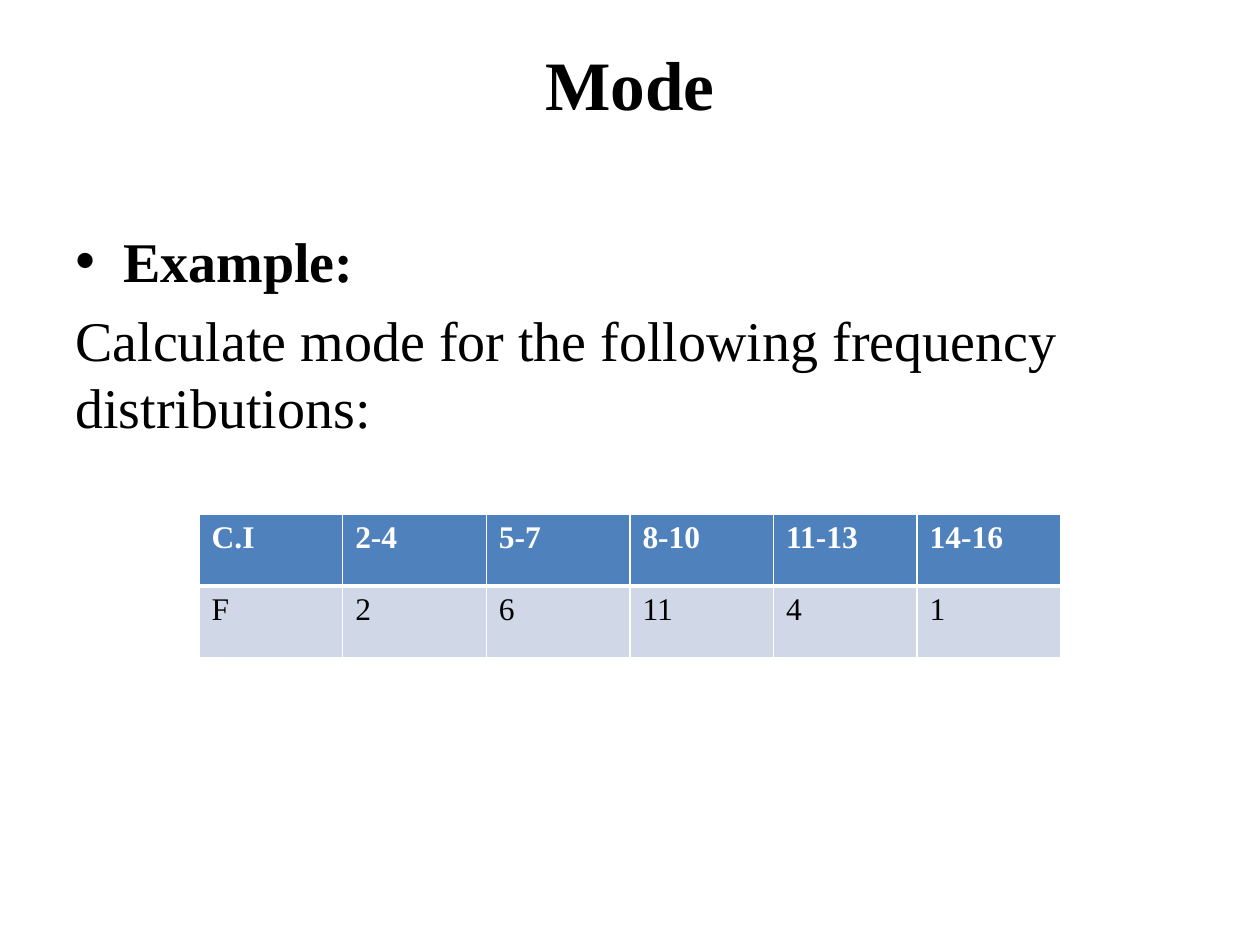
"""Build a slide on the mode, with a frequency table."""
from lxml import etree
from pptx import Presentation, util as u
from pptx.dml.color import RGBColor
from pptx.enum import text as t
from pptx.oxml import ns

BLACK = RGBColor(0x00, 0x00, 0x00)
WHITE = RGBColor(0xFF, 0xFF, 0xFF)
BLUE = RGBColor(0x4F, 0x81, 0xBD)
PALE = RGBColor(0xD0, 0xD8, 0xE8)
FONT = "Times New Roman"


def write(para, words, size=32, bold=False, color=BLACK, align=t.PP_ALIGN.LEFT, gap=0):
    para.alignment = align
    para.space_before = u.Pt(gap)
    run = para.add_run()
    run.text = words
    run.font.name = FONT
    run.font.size = u.Pt(size)
    run.font.bold = bold
    run.font.color.rgb = color


def edge(cell, side, width):
    line = etree.SubElement(cell._tc.get_or_add_tcPr(), ns.qn("a:" + side), w=str(u.Pt(width)))
    fill = etree.SubElement(line, ns.qn("a:solidFill"))
    etree.SubElement(fill, ns.qn("a:srgbClr"), val=str(WHITE))


deck = Presentation()
deck.slide_width, deck.slide_height = u.Inches(10), u.Inches(7.5)
wide, high = deck.slide_width, deck.slide_height
slide = deck.slides.add_slide(deck.slide_layouts[6])
left, span = int(wide * 0.05), int(wide * 0.9)

title = slide.shapes.add_textbox(left, int(high * 0.04), span, int(high / 6)).text_frame
title.word_wrap = True
title.margin_top = u.Inches(0.03)
write(title.paragraphs[0], "Mode", size=39.6, bold=True, align=t.PP_ALIGN.CENTER)

body = slide.shapes.add_textbox(left, int(high * 0.7 / 3), span, int(high * 0.66)).text_frame
body.word_wrap = True
head = body.paragraphs[0]
write(head, "Example:", bold=True, gap=6.4)
props = head._p.get_or_add_pPr()
props.set("marL", str(u.Inches(0.38)))
props.set("indent", str(-u.Inches(0.38)))
etree.SubElement(props, ns.qn("a:buFont"), typeface="Arial")
etree.SubElement(props, ns.qn("a:buChar"), char="•")
write(body.add_paragraph(), "Calculate mode for the following frequency distributions:", gap=6.4)

rows = [
    ["C.I", "2-4", "5-7", "8-10", "11-13", "14-16"],
    ["F", "2", "6", "11", "4", "1"],
]
looks = [(True, WHITE, BLUE), (False, BLACK, PALE)]
col, row = u.Inches(1.14), u.Inches(0.57)
count = len(rows[0])
grid = slide.shapes.add_table(
    len(rows), count, (wide - col * count) // 2, u.Inches(4.08), col * count, row * len(rows)
).table
for r, (line, (bold, ink, fill)) in enumerate(zip(rows, looks)):
    grid.rows[r].height = row
    for c, words in enumerate(line):
        grid.columns[c].width = col
        cell = grid.cell(r, c)
        write(cell.text_frame.paragraphs[0], words, size=18, bold=bold, color=ink)
        for side in ("lnL", "lnR", "lnT", "lnB"):
            thick = (r, side) in ((0, "lnB"), (1, "lnT"))
            edge(cell, side, 3 if thick else 1)
        cell.fill.solid()
        cell.fill.fore_color.rgb = fill

deck.save("out.pptx")
